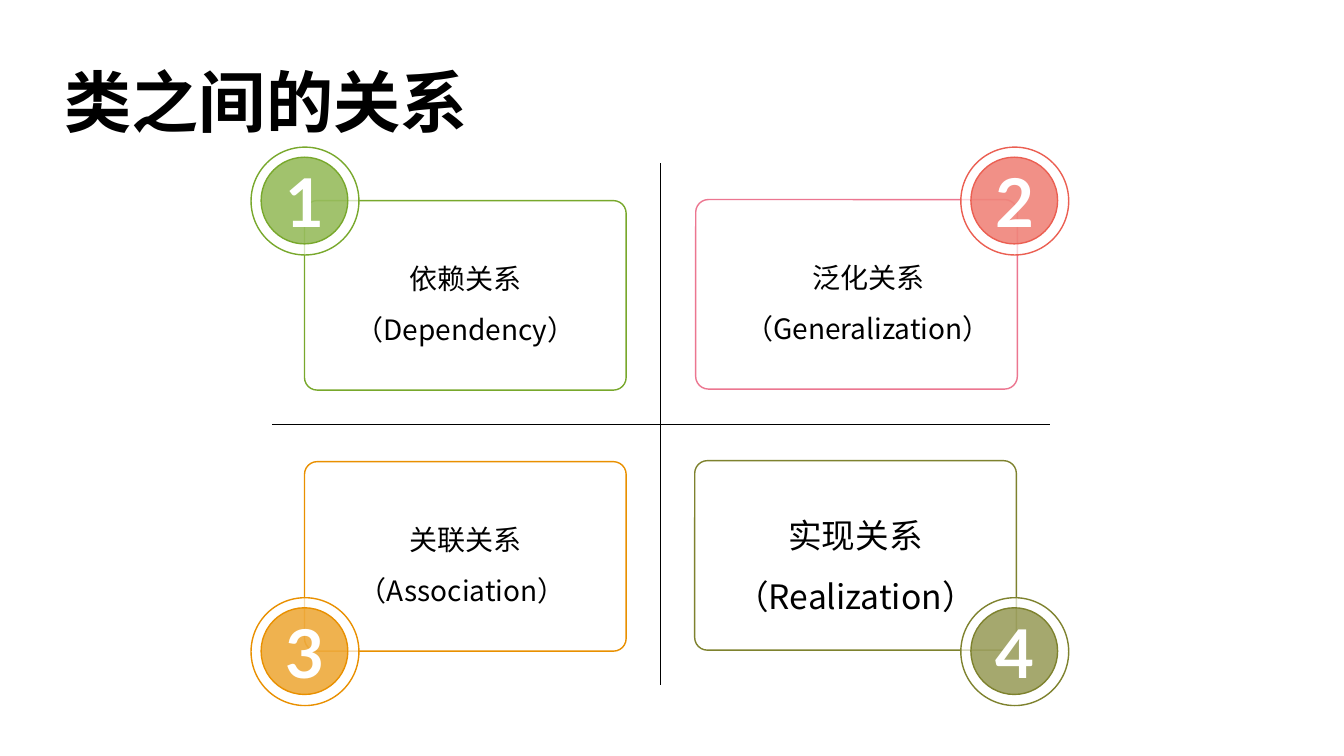
from dataclasses import dataclass

from lxml import etree
from pptx import Presentation
from pptx import util as u
from pptx.dml.color import RGBColor
from pptx.enum import shapes, text
from pptx.oxml.ns import qn

PX = 9144  # EMU per px, 100 px to the inch
SLIDE_W, SLIDE_H = 1333, 750
CARD_W, CARD_H = 319, 188
TEXT_H = 114
RING, DISC = 107, 86
NUMBER_W, NUMBER_H = 61, 91
OPACITY = 69000
CJK, LATIN = "Noto Sans CJK SC", "Lato"

COLORS = {
    "black": "000000",
    "white": "FFFFFF",
    "green": "78A82C",
    "pink": "EC7690",
    "red": "EB5F52",
    "orange": "E99000",
    "olive": "7E822E",
}


@dataclass
class Card:
    label: str
    left: int
    top: int
    color: str
    text_width: int = 311
    size: int = 20


@dataclass
class Badge:
    number: str
    center_x: int
    center_y: int
    color: str


CARDS = [
    Card("依赖关系（Dependency）", 302, 199, "green"),
    Card("泛化关系（Generalization）", 690, 198, "pink", text_width=334),
    Card("关联关系（Association） ", 302, 458, "orange"),
    Card("实现关系（Realization）", 689, 457, "olive", size=24),
]
BADGES = [
    Badge("1", 302, 199, "green"),
    Badge("2", 1006, 199, "red"),
    Badge("3", 302, 646, "orange"),
    Badge("4", 1006, 646, "olive"),
]


def rgb(name: str) -> RGBColor:
    return RGBColor.from_string(COLORS[name])


def px(*lengths: int) -> list[u.Emu]:
    return [u.Emu(length * PX) for length in lengths]


def add_rule(slide, x1: int, y1: int, x2: int, y2: int) -> None:
    rule = slide.shapes.add_connector(
        shapes.MSO_CONNECTOR.STRAIGHT, *px(x1, y1, x2, y2))
    rule.line.color.rgb = rgb("black")
    rule.line.width = u.Pt(0.5)
    etree.SubElement(rule._element.spPr, qn("a:effectLst"))


def add_panel(slide, kind, left: int, top: int, width: int, height: int,
              fill: str, line: str):
    """Draw a preset shape with a translucent fill and a thin outline."""
    panel = slide.shapes.add_shape(kind, *px(left, top, width, height))
    panel.shadow.inherit = False
    panel.fill.solid()
    panel.fill.fore_color.rgb = rgb(fill)
    color = panel._element.spPr.find(f"{qn('a:solidFill')}/{qn('a:srgbClr')}")
    etree.SubElement(color, qn("a:alpha"), val=str(OPACITY))
    panel.line.color.rgb = rgb(line)
    panel.line.width = u.Pt(1)
    return panel


def add_text(slide, words: str, left: int, top: int, width: int, height: int,
             size: int, font: str, color: str = "black", bold: bool = False,
             align=text.PP_ALIGN.CENTER, anchor=text.MSO_ANCHOR.MIDDLE,
             spacing: float = 1.0, inset: int = 0) -> None:
    box = slide.shapes.add_textbox(*px(left, top, width, height))
    frame = box.text_frame
    frame.word_wrap = True
    frame.vertical_anchor = anchor
    frame.margin_left, frame.margin_top, frame.margin_right, \
        frame.margin_bottom = px(*[inset] * 4)
    frame.text = words
    para = frame.paragraphs[0]
    para.alignment = align
    para.line_spacing = spacing
    span = para.runs[0]
    span.font.size = u.Pt(size)
    span.font.bold = bold
    span.font.color.rgb = rgb(color)
    span.font.name = font
    etree.SubElement(span.font._element, qn("a:ea"), typeface=font)


def add_card(slide, card: Card) -> None:
    outline = add_panel(slide, shapes.MSO_SHAPE.ROUNDED_RECTANGLE, card.left,
                        card.top, CARD_W, CARD_H, "white", card.color)
    outline.adjustments[0] = 0.067
    add_text(slide, card.label, card.left + 4,
             card.top + (CARD_H - TEXT_H) // 2, card.text_width, TEXT_H,
             card.size, CJK, spacing=1.5)


def add_badge(slide, badge: Badge) -> None:
    for size, fill in ((RING, "white"), (DISC, badge.color)):
        add_panel(slide, shapes.MSO_SHAPE.OVAL, badge.center_x - size // 2,
                  badge.center_y - size // 2, size, size, fill, badge.color)
    add_text(slide, badge.number, badge.center_x - NUMBER_W // 2,
             badge.center_y - NUMBER_H // 2, NUMBER_W, NUMBER_H,
             48, LATIN, "white", bold=True)


def main() -> None:
    deck = Presentation()
    deck.slide_width, deck.slide_height = px(SLIDE_W, SLIDE_H)
    page = deck.slides.add_slide(deck.slide_layouts[6])
    add_rule(page, 270, 421, 1041, 421)
    add_rule(page, 655, 162, 655, 680)
    for card in CARDS:
        add_card(page, card)
    for badge in BADGES:
        add_badge(page, badge)
    add_text(page, "类之间的关系", 59, 64, 529, 76, 48, CJK, bold=True,
             align=text.PP_ALIGN.LEFT, anchor=text.MSO_ANCHOR.TOP,
             spacing=0.9, inset=5)
    deck.save("out.pptx")


if __name__ == "__main__":
    main()
